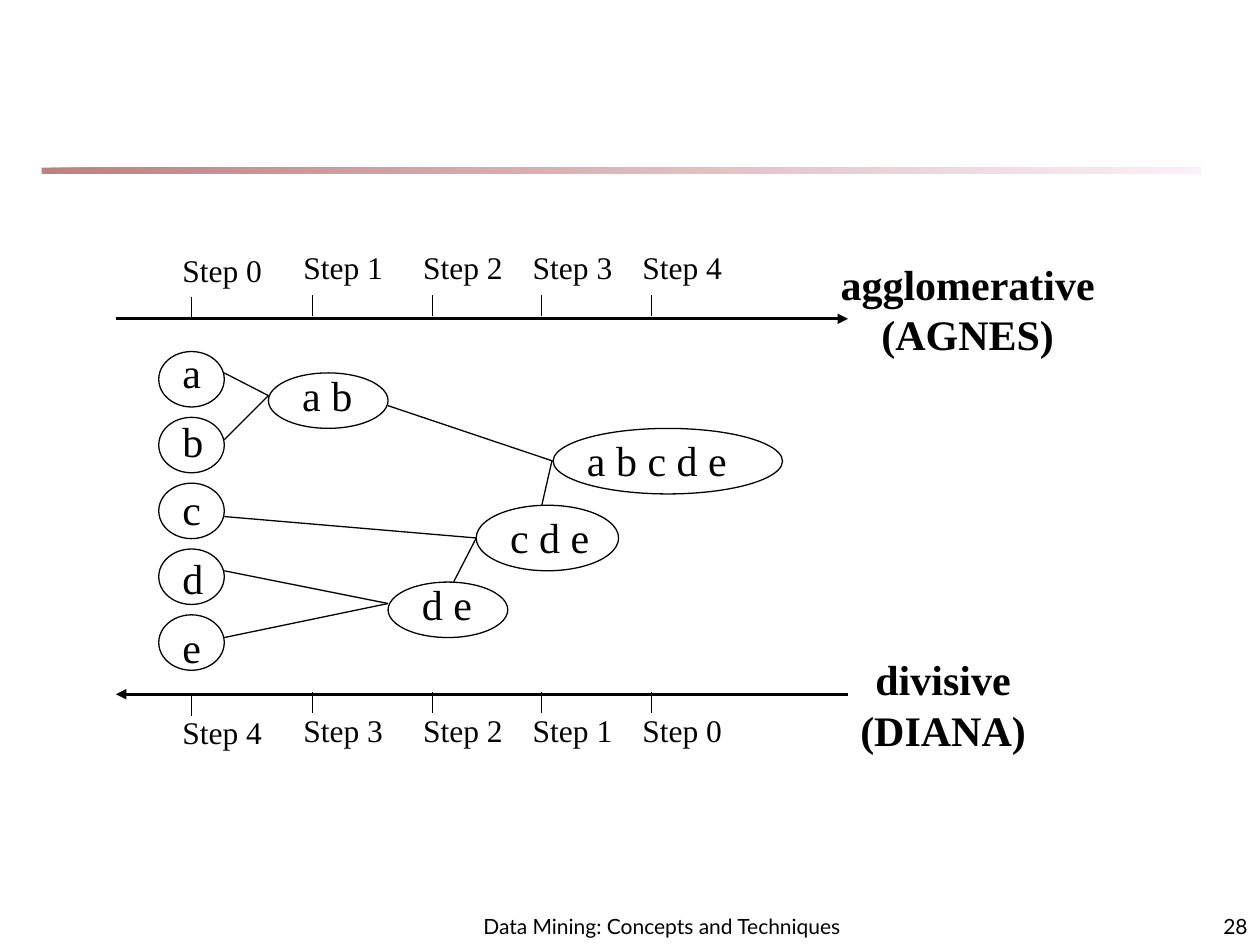
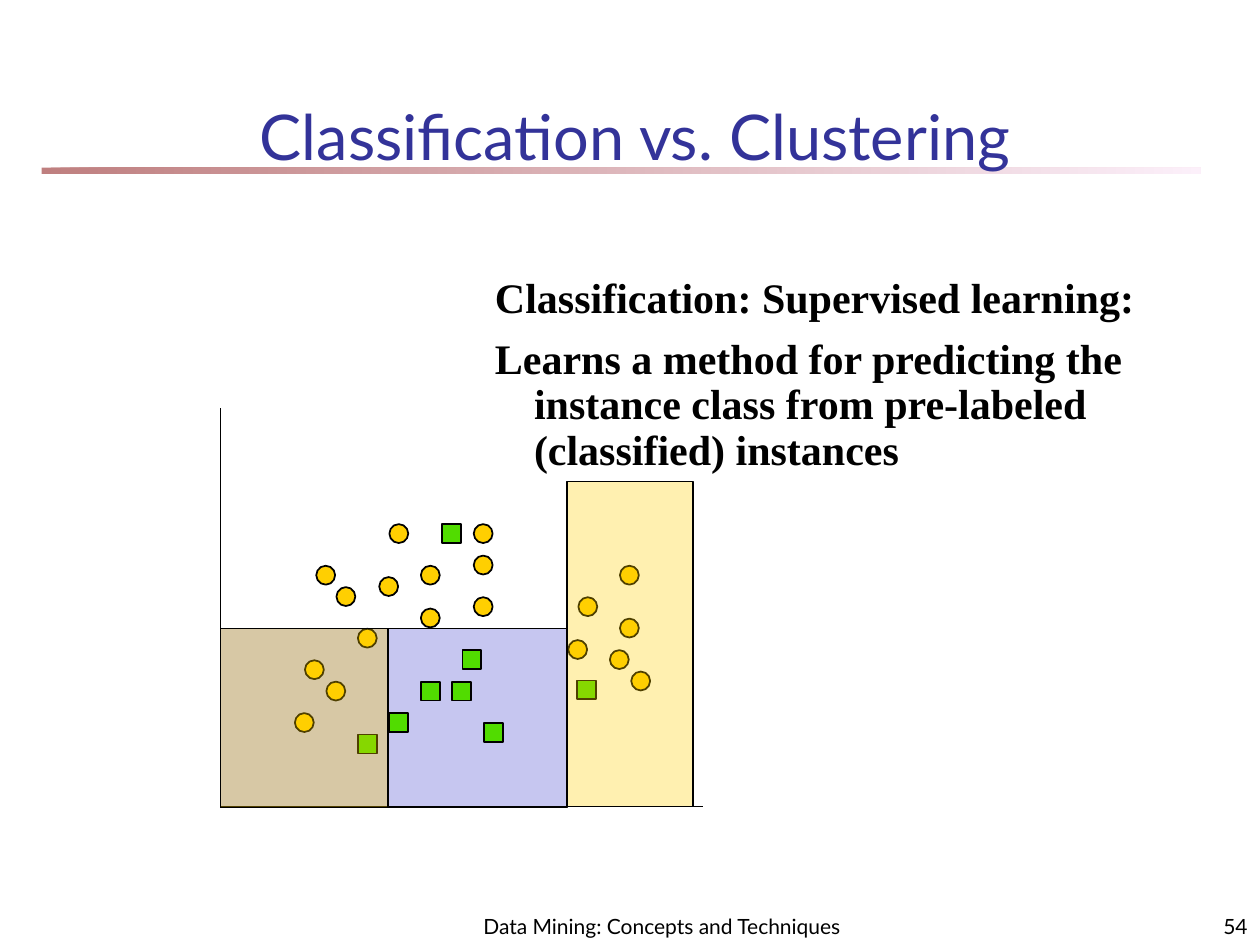
"""Build two data mining slides: a clustering tree and a class scatter."""
from dataclasses import dataclass

from lxml.etree import SubElement
from pptx import Presentation
from pptx.dml.color import RGBColor
from pptx.enum.shapes import MSO_CONNECTOR, MSO_SHAPE
from pptx.enum.text import MSO_ANCHOR, PP_ALIGN
from pptx.oxml.ns import qn
from pptx.util import Inches, Pt


@dataclass(frozen=True)
class Theme:
    """Colours, fonts, type sizes and line widths."""
    ink: str = "000000"
    title: str = "333399"
    rust: str = "800000"
    blush: str = "FAE2F6"
    blue: str = "3333CC"
    gold: str = "FFCF01"
    green: str = "51DC00"
    sans: str = "Lato"
    serif: str = "Times New Roman"
    head: int = 36
    body: int = 24
    step: int = 18
    foot: int = 12
    thin: float = 0.75
    mid: float = 1
    bold: float = 1.5


LOOK = Theme()
SPOTS = ((0.6, 0.02), (1.56, 0), (2.51, 0), (3.38, 0), (4.25, 0))
NODES = (
    ("a b", 0.6, (0.87, 0.26, 0.95, 0.44)),
    ("d e", 0.6, (1.82, 1.92, 0.95, 0.44)),
    ("c d e", 0.83, (2.52, 1.31, 1.13, 0.52)),
    ("a b c d e", 1.31, (3.13, 0.7, 1.82, 0.52)),
)
LINKS = (
    (0.52, 0.26, 0.87, 0.44), (0.52, 0.79, 0.87, 0.44),
    (0.52, 1.83, 1.82, 2.09), (0.52, 2.36, 1.82, 2.09),
    (0.52, 1.4, 2.52, 1.57), (2.34, 1.92, 2.52, 1.57),
    (1.82, 0.52, 3.13, 0.96), (3.04, 1.31, 3.12, 0.96),
)
SQUARES = (
    (1.59, 2.17), (1.92, 1.92), (1.84, 2.17), (2.09, 2.5),
    (2.83, 2.16), (1.34, 2.42), (1.09, 2.59), (1.76, 0.92),
)
DISCS = (
    (0.76, 1.25), (0.92, 1.42), (1.26, 1.34), (1.59, 1.25), (0.67, 2),
    (2.01, 0.92), (1.09, 1.75), (1.59, 1.59), (2.01, 1.5), (0.84, 2.17),
    (0.59, 2.42), (1.34, 0.92), (2.01, 1.17), (3.17, 1.25), (2.84, 1.5),
    (2.76, 1.84), (3.09, 1.92), (3.26, 2.09), (3.17, 1.67),
)


def shift(box, part):
    """Move a part's box by the corner of its parent box."""
    return (box[0] + part[0], box[1] + part[1], *part[2:])


def fade(shape, share):
    """Make every fill colour of a shape partly clear."""
    for tint in shape.element.spPr.iter(qn("a:srgbClr")):
        SubElement(tint, qn("a:alpha"), val=str(share * 1000))


def draw(slide, kind, box, fill=None, clear=None, width=LOOK.thin):
    """Add an outlined preset shape."""
    shape = slide.shapes.add_shape(kind, *map(Inches, box))
    shape.shadow.inherit = False
    if fill:
        shape.fill.solid()
        shape.fill.fore_color.rgb = RGBColor.from_string(fill)
    else:
        shape.fill.background()
    if clear:
        fade(shape, clear)
    shape.line.color.rgb = RGBColor.from_string(LOOK.ink)
    shape.line.width = Pt(width)
    return shape


def link(slide, ends, width=LOOK.thin, tip=None):
    """Add a straight line, with an arrowhead at the named end."""
    line = slide.shapes.add_connector(MSO_CONNECTOR.STRAIGHT, *map(Inches, ends))
    line.line.color.rgb = RGBColor.from_string(LOOK.ink)
    line.line.width = Pt(width)
    props = line.element.spPr
    if tip:
        SubElement(props.find(qn("a:ln")), qn(tip), type="triangle")
    SubElement(props, qn("a:effectLst"))


def write(slide, box, lines, size, font=LOOK.serif, color=LOOK.ink, bold=False,
          align=PP_ALIGN.LEFT, anchor=MSO_ANCHOR.TOP, wrap=True, before=0):
    """Add a text box with one run in each paragraph."""
    frame = slide.shapes.add_textbox(*map(Inches, box)).text_frame
    frame.word_wrap = wrap
    frame.vertical_anchor = anchor
    for i, words in enumerate(lines):
        para = frame.add_paragraph() if i else frame.paragraphs[0]
        para.alignment = align
        para.space_before = Pt(before)
        run = para.add_run()
        run.text = words
        run.font.size = Pt(size)
        run.font.name = font
        run.font.bold = bold
        run.font.color.rgb = RGBColor.from_string(color)
    return frame


def base(deck, number):
    """Start a slide with the shared band and footer."""
    slide = deck.slides.add_slide(deck.slide_layouts[6])
    band = draw(slide, MSO_SHAPE.RECTANGLE, (0.33, 1.33, 9.2, 0.05))
    band.line.fill.background()
    band.fill.gradient()
    band.fill.gradient_angle = 0
    for stop, tint in zip(band.fill.gradient_stops, (LOOK.rust, LOOK.blush)):
        stop.color.rgb = RGBColor.from_string(tint)
    fade(band, 50)
    feet = (
        ((3.67, 7.08, 3.17, 0.42), "Data Mining: Concepts and Techniques", PP_ALIGN.CENTER),
        ((7.92, 7.08, 2.08, 0.42), number, PP_ALIGN.RIGHT),
    )
    for box, words, align in feet:
        write(slide, box, [words], LOOK.foot, LOOK.sans,
              align=align, anchor=MSO_ANCHOR.BOTTOM)
    return slide


def steps(slide, box, order, above):
    """Draw a step axis with its labels above or below the arrow."""
    left, top, wide, high = box
    axis = top + high if above else top
    tick = axis - (0.19 if above else 0.02)
    label = tick + (-0.42 if above else 0.1)
    link(slide, (left, axis, left + wide, axis), LOOK.bold,
         "a:tailEnd" if above else "a:headEnd")
    for (spot, dip), step in zip(SPOTS, order):
        x = left + spot
        link(slide, (x, tick + dip, x, tick + dip + 0.17))
        write(slide, (x - 0.17, label + dip, 0.87, 0.4), [f"Step {step}"],
              LOOK.step, before=11.2)


def tree(slide, box):
    """Draw the leaves, the merged groups and the lines between them."""
    def name(words, part):
        write(slide, shift(box, part), [words], LOOK.body, wrap=False)

    def ring(part):
        draw(slide, MSO_SHAPE.OVAL, shift(box, part))

    for i, leaf in enumerate("abcde"):
        name(leaf, (0.09, i * 2.18 / 4, 0.36, 0.5))
        ring((0, 0.09 + i * 2.09 / 4, 0.52, 0.44))
    for words, wide, part in NODES:
        x, y, _, high = part
        name(words, (x + 0.17, y + high - 0.52, wide, 0.5))
        ring(part)
    for x, y, to_x, to_y in LINKS:
        link(slide, (*shift(box, (x, y)), *shift(box, (to_x, to_y))))


def scatter(slide, box):
    """Draw the axes, the marks and the tinted class regions."""
    left, top, wide, high = box

    def zone(part, tint, clear):
        draw(slide, MSO_SHAPE.RECTANGLE, shift(box, part), tint, clear)

    zone((0, 1.75, 2.75, 1.42), LOOK.blue, 28)
    foot = top + high
    link(slide, (left, top, left, foot), LOOK.mid)
    link(slide, (left, foot, left + wide, foot), LOOK.mid)
    groups = (
        (MSO_SHAPE.RECTANGLE, LOOK.green, SQUARES),
        (MSO_SHAPE.OVAL, LOOK.gold, DISCS),
    )
    for kind, tint, spots in groups:
        for spot in spots:
            draw(slide, kind, shift(box, (*spot, 0.15, 0.15)), tint, width=LOOK.mid)
    zone((2.75, 0.58, 1, 2.58), LOOK.gold, 31)
    zone((0, 1.75, 1.33, 1.42), LOOK.gold, 31)


def notion(slide, box):
    """Write the definition with hanging indents."""
    frame = write(slide, box, [
        "Classification: Supervised learning:",
        "Learns a method for predicting the instance class from "
        "pre-labeled (classified) instances",
    ], LOOK.body, bold=True, before=9)
    for para in frame.paragraphs:
        para.line_spacing = 0.9
        props = para._p.get_or_add_pPr()
        props.set("marL", str(Inches(0.31)))
        props.set("indent", str(-Inches(0.31)))


def merge(deck):
    """Build the slide on the two ways of clustering."""
    slide = base(deck, "28")
    steps(slide, (0.92, 1.92, 5.81, 0.61), range(5), True)
    tree(slide, (1.26, 2.7, 4.95, 2.62))
    steps(slide, (0.92, 5.51, 5.81, 0.5), range(4, -1, -1), False)
    tags = (
        ((6.52, 2, 2.32, 0.9), ["agglomerative", "(AGNES)"]),
        ((6.68, 5.14, 1.61, 0.9), ["divisive", "(DIANA)"]),
    )
    for box, lines in tags:
        write(slide, box, lines, LOOK.body, bold=True,
              align=PP_ALIGN.CENTER, wrap=False)


def classes(deck):
    """Build the slide on classification."""
    slide = base(deck, "54")
    write(slide, (0.5, 0.42, 9.08, 1), ["Classification vs. Clustering"],
          LOOK.head, LOOK.sans, LOOK.title,
          align=PP_ALIGN.CENTER, anchor=MSO_ANCHOR.BOTTOM)
    scatter(slide, (1.75, 3.24, 3.83, 3.16))
    notion(slide, (3.83, 2.15, 5.58, 1.67))


def main():
    """Build and save the deck."""
    deck = Presentation()
    deck.slide_width, deck.slide_height = Inches(10), Inches(7.5)
    merge(deck)
    classes(deck)
    deck.save("out.pptx")


if __name__ == "__main__":
    main()
